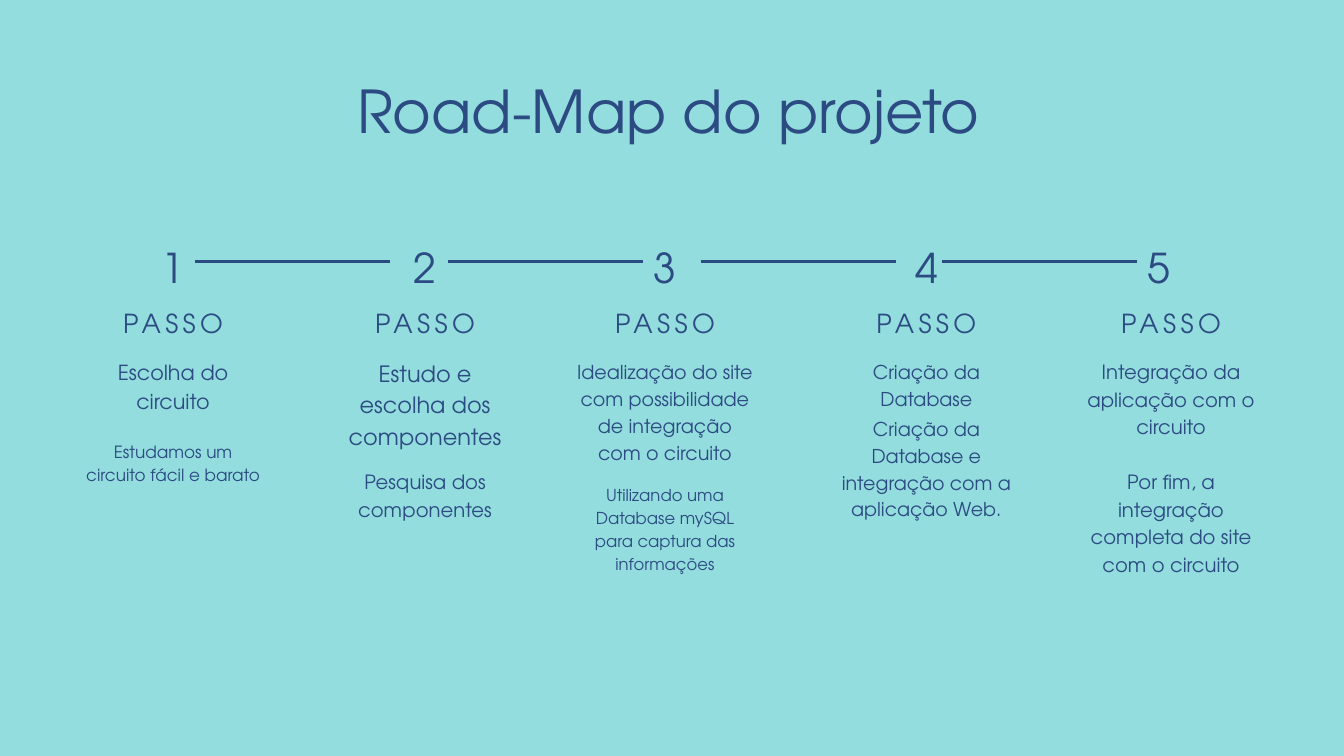
from dataclasses import dataclass
from typing import NamedTuple

from lxml.etree import SubElement
from pptx import Presentation
from pptx.dml.color import RGBColor
from pptx.enum.shapes import MSO_CONNECTOR as Connector
from pptx.enum.text import MSO_ANCHOR as Anchor, MSO_AUTO_SIZE as AutoSize, PP_ALIGN as Align
from pptx.oxml.ns import qn
from pptx.shapes.base import BaseShape
from pptx.slide import Slide
from pptx.util import Inches, Pt


@dataclass(frozen=True)
class Theme:
    """Colours, font and type styles shared by the slide."""
    background: RGBColor = RGBColor.from_string("94DDDE")
    ink: RGBColor = RGBColor.from_string("2B4B82")
    font: str = "TeX Gyre Adventor"
    title_size: float = 63.2
    number_size: float = 44
    label_size: float = 28
    title_leading: float = 1.2
    leading: float = 1.4
    number_tracking: float = 7.5
    label_tracking: float = 4.8
    line_width: float = 3


class Box(NamedTuple):
    """Place of a text, in inches."""
    left: float
    top: float
    width: float
    height: float


class Passage(NamedTuple):
    """Words of a step with their vertical place and type size."""
    words: str
    top: float
    height: float
    size: float


class Step(NamedTuple):
    """One column of the road map."""
    number_left: float
    left: float
    width: float
    summary: Passage
    detail: Passage


THEME = Theme()
NUMBER_TOP, NUMBER_WIDTH, NUMBER_HEIGHT = 3.48, 0.66, 0.82
LABEL_TOP, LABEL_HEIGHT = 4.49, 0.51
LINK_LENGTH, JOIN_TOLERANCE = 2.9, 0.02
LINK_LEFTS = (2.9, 6.67, 10.43, 14.02)
STEPS = (
    Step(2.24, 1.23, 2.69,
         Passage("Escolha do circuito", 5.29, 0.84, 22.2),
         Passage("Estudamos um circuito fácil e barato", 6.52, 0.68, 18)),
    Step(6, 5.01, 2.63,
         Passage("Estudo e escolha dos componentes", 5.29, 1.37, 24),
         Passage("Pesquisa dos componentes", 6.94, 0.79, 21)),
    Step(9.57, 8.55, 2.69,
         Passage("Idealização do site com possibilidade de integração com o circuito",
                 5.31, 1.56, 20.5),
         Passage("Utilizando uma Database mySQL para captura das informações",
                 7.17, 1.32, 17.6)),
    Step(13.46, 12.32, 2.93,
         Passage("Criação da Database", 5.31, 0.37, 20.4),
         Passage("Criação da Database e integração com a aplicação Web.", 6.16, 1.16, 20.4)),
    Step(16.92, 16.08, 2.69,
         Passage("Integração da aplicação com o circuito", 5.3, 1.19, 21),
         Passage("Por fim, a integração completa do site com o circuito", 6.94, 1.6, 21)),
)


def write(holder: BaseShape, words: str, size: float,
          leading: float = THEME.leading, tracking: float = 0) -> None:
    """Fill a shape with one centred run in the theme's style."""
    frame = holder.text_frame
    frame.word_wrap = True
    frame.auto_size = AutoSize.NONE
    frame.vertical_anchor = Anchor.TOP
    frame.margin_left = frame.margin_top = frame.margin_right = frame.margin_bottom = 0
    paragraph = frame.paragraphs[0]
    paragraph.alignment = Align.CENTER
    paragraph.line_spacing = Pt(round(size * leading, 1))
    run = paragraph.add_run()
    run.text = words
    run.font.name = THEME.font
    run.font.size = Pt(size)
    run.font.color.rgb = THEME.ink
    if tracking:
        run._r.get_or_add_rPr().set("spc", str(round(tracking * 100)))


def add_text(slide: Slide, box: Box, words: str, size: float, tracking: float = 0) -> BaseShape:
    """Add a text box and return it."""
    holder = slide.shapes.add_textbox(*map(Inches, box))
    write(holder, words, size, tracking=tracking)
    return holder


def add_title(slide: Slide, box: Box, words: str) -> None:
    """Place and fill the title placeholder."""
    title = slide.shapes.title
    title.left, title.top, title.width, title.height = map(Inches, box)
    write(title, words, THEME.title_size, THEME.title_leading)


def add_step(slide: Slide, ordinal: int, step: Step) -> BaseShape:
    """Draw one step and return its number."""
    add_text(slide, Box(step.left, LABEL_TOP, step.width, LABEL_HEIGHT), "PASSO",
             THEME.label_size, THEME.label_tracking)
    for passage in (step.summary, step.detail):
        add_text(slide, Box(step.left, passage.top, step.width, passage.height),
                 passage.words, passage.size)
    return add_text(slide, Box(step.number_left, NUMBER_TOP, NUMBER_WIDTH, NUMBER_HEIGHT),
                    str(ordinal), THEME.number_size, THEME.number_tracking)


def add_link(slide: Slide, left: float, before: BaseShape, after: BaseShape) -> None:
    """Draw a line between two numbers, joined where it touches them."""
    start, end = Inches(left), Inches(left + LINK_LENGTH)
    middle = Inches(NUMBER_TOP + NUMBER_HEIGHT / 2)
    link = slide.shapes.add_connector(Connector.STRAIGHT, start, middle, end, middle)
    link.line.color.rgb = THEME.ink
    link.line.width = Pt(THEME.line_width)
    SubElement(link._element.spPr, qn("a:effectLst"))
    if abs(start - before.left - before.width) < Inches(JOIN_TOLERANCE):
        link.begin_connect(before, 3)
    if abs(end - after.left) < Inches(JOIN_TOLERANCE):
        link.end_connect(after, 1)


def main() -> None:
    """Build the road map slide."""
    deck = Presentation()
    deck.slide_width, deck.slide_height = Inches(20), Inches(11.25)
    slide = deck.slides.add_slide(deck.slide_layouts.get_by_name("Title Only"))
    slide.background.fill.solid()
    slide.background.fill.fore_color.rgb = THEME.background
    add_title(slide, Box(1.12, 1.11, 17.65, 1.06), "Road-Map do projeto")
    numbers = [add_step(slide, ordinal, step) for ordinal, step in enumerate(STEPS, 1)]
    for left, before, after in zip(LINK_LEFTS, numbers, numbers[1:]):
        add_link(slide, left, before, after)
    deck.save("out.pptx")


if __name__ == "__main__":
    main()
